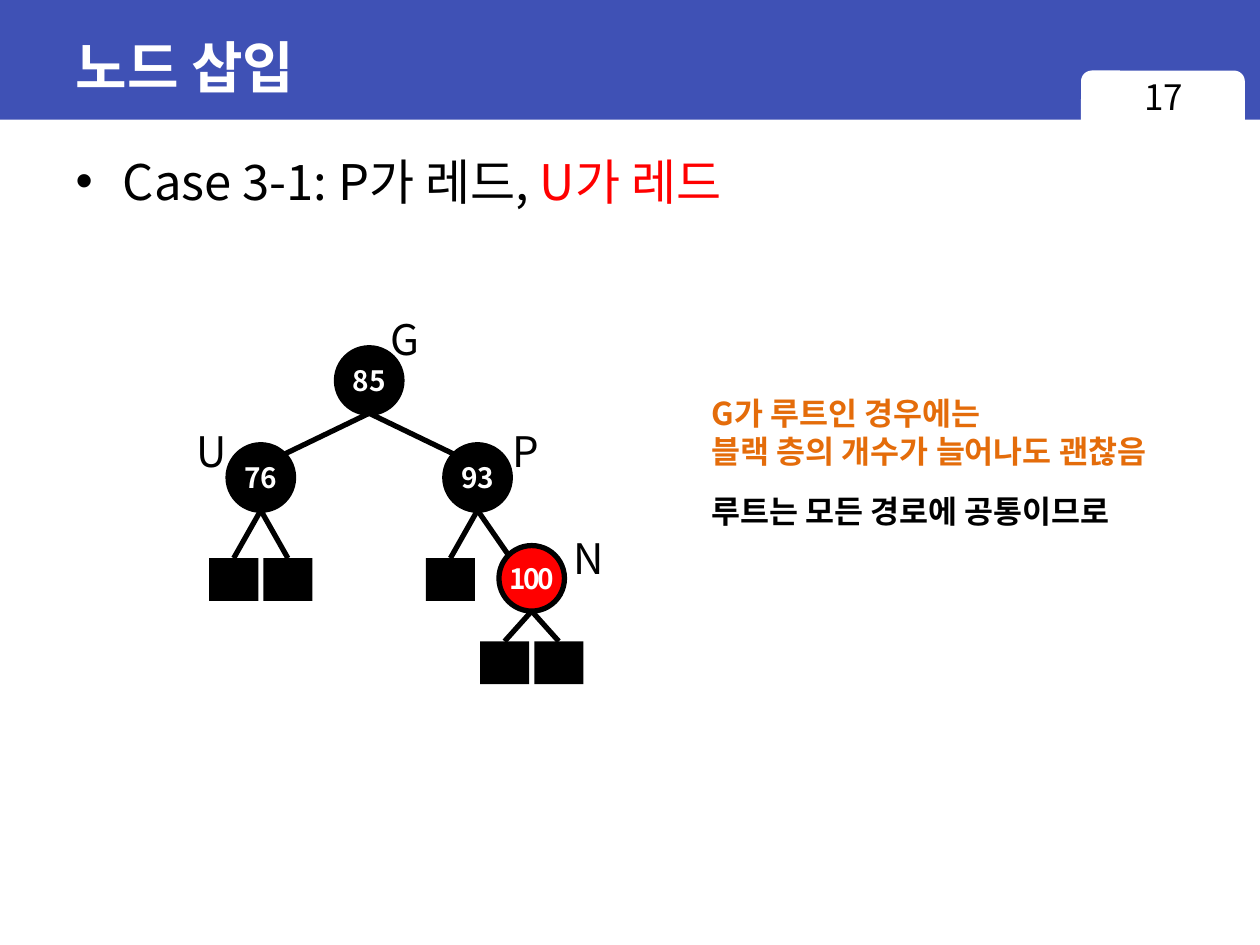
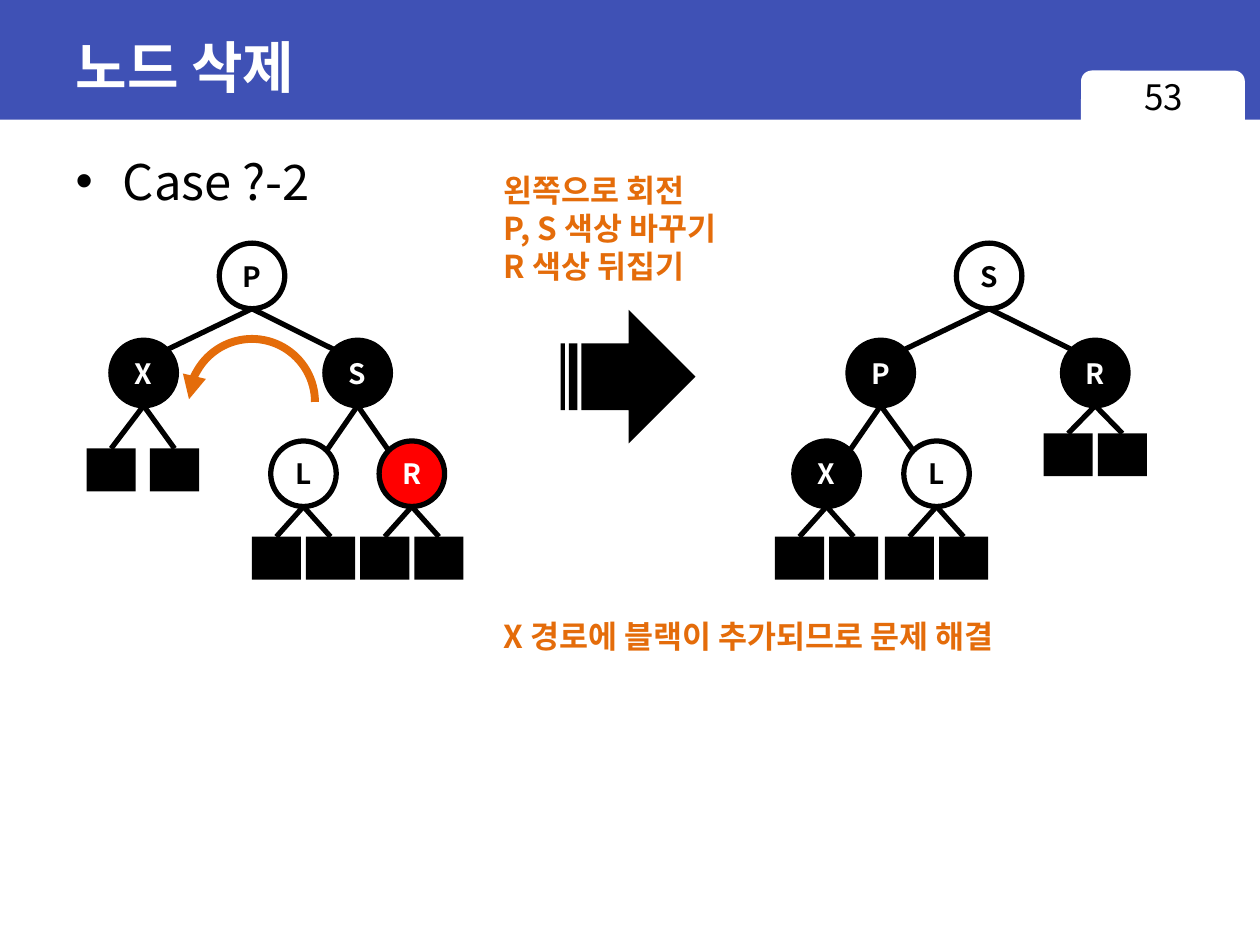
from dataclasses import dataclass

from lxml import etree
from pptx import Presentation
from pptx.dml.color import RGBColor
from pptx.enum.shapes import MSO_CONNECTOR, MSO_SHAPE
from pptx.enum.text import MSO_ANCHOR, MSO_AUTO_SIZE, PP_ALIGN
from pptx.oxml.ns import qn
from pptx.util import Inches, Pt

STRAIGHT = MSO_CONNECTOR.STRAIGHT
RECTANGLE, ROUNDED = MSO_SHAPE.RECTANGLE, MSO_SHAPE.ROUNDED_RECTANGLE
OVAL, ARC = MSO_SHAPE.OVAL, MSO_SHAPE.ARC
STRIPED_ARROW = MSO_SHAPE.STRIPED_RIGHT_ARROW
LEFT, CENTER = PP_ALIGN.LEFT, PP_ALIGN.CENTER
MIDDLE = MSO_ANCHOR.MIDDLE
FIT_SHAPE = MSO_AUTO_SIZE.SHAPE_TO_FIT_TEXT


@dataclass(frozen=True)
class Theme:
    band: RGBColor = RGBColor(0x3F, 0x51, 0xB5)
    white: RGBColor = RGBColor(255, 255, 255)
    black: RGBColor = RGBColor(0, 0, 0)
    red: RGBColor = RGBColor(255, 0, 0)
    accent: RGBColor = RGBColor(0xE4, 0x6C, 0x0A)
    title_font: str = "Arial"
    font: str = "Noto Sans CJK KR"
    title: int = 32
    body: int = 28
    tag: int = 24
    page: int = 20
    note: int = 18
    key: int = 16
    edge: float = 3
    rotation: float = 4.5


THEME = Theme()

# Tree grid, in inches
COLUMN = 0.43
LEVELS = (0.77, 0.8)
DIAMETER = 0.52
DIAGONAL = DIAMETER / 2 * 0.5 ** 0.5
LEAF_WIDTH, LEAF_HEIGHT = 0.39, 0.34


@dataclass
class Node:
    """A tree node; offset counts columns from its parent."""
    key: str
    fill: RGBColor = THEME.black
    offset: float = 0
    children: tuple = ()
    leaves: tuple = ()
    leaf_drop: float = 0.24
    tag: str = ""
    tag_shift: tuple = (0, 0)
    spacing: int = 0


def style(paragraph, size, color, bold=False, align=LEFT, font=THEME.font):
    paragraph.alignment = align
    paragraph.space_before = Pt(0)
    face = paragraph.font
    face.size, face.bold, face.name = Pt(size), bold, font
    face.color.rgb = color
    east_asian = etree.SubElement(face._element, qn("a:ea"))
    east_asian.set("typeface", THEME.font)


def add_shape(slide, kind, left, top, width, height, fill=None, line=None,
              line_width=THEME.edge):
    shape = slide.shapes.add_shape(kind, Inches(left), Inches(top),
                                   Inches(width), Inches(height))
    shape.shadow.inherit = False
    if fill is None:
        shape.fill.background()
    else:
        shape.fill.solid()
        shape.fill.fore_color.rgb = fill
    if line is None:
        shape.line.fill.background()
    else:
        shape.line.color.rgb = line
        shape.line.width = Pt(line_width)
    return shape


def add_text(slide, left, top, width, height, lines, size, color,
             bold=False, align=LEFT, wrap=False):
    box = slide.shapes.add_textbox(Inches(left), Inches(top),
                                   Inches(width), Inches(height))
    frame = box.text_frame
    frame.word_wrap = wrap
    if not wrap:
        frame.auto_size = FIT_SHAPE
    frame.text = "\n".join(lines)
    for paragraph in frame.paragraphs:
        style(paragraph, size, color, bold, align)


def add_note(slide, left, top, width, height, *lines, color=THEME.accent):
    add_text(slide, left, top, width, height, lines, THEME.note, color, True)


def add_edge(slide, start, end, leaf=None):
    edge = slide.shapes.add_connector(
        STRAIGHT, *(Inches(value) for value in (*start, *end)))
    if leaf is not None:
        edge.end_connect(leaf, 0)
    edge.line.color.rgb = THEME.black
    edge.line.width = Pt(THEME.edge)
    etree.SubElement(edge.element.spPr, qn("a:effectLst"))


def add_node(slide, node, x, top):
    circle = add_shape(slide, OVAL, x - DIAMETER / 2, top, DIAMETER, DIAMETER,
                       node.fill, THEME.black)
    frame = circle.text_frame
    frame.margin_left = frame.margin_right = 0
    frame.vertical_anchor = MIDDLE
    paragraph = frame.paragraphs[0]
    run = paragraph.add_run()
    run.text = node.key
    if node.spacing:
        run._r.get_or_add_rPr().set("spc", str(node.spacing))
    ink = THEME.black if node.fill == THEME.white else THEME.white
    style(paragraph, THEME.key, ink, True, CENTER)


def add_tree(slide, node, x, top, depth=0):
    """Draw a node centred on x, then its leaves and subtrees."""
    add_node(slide, node, x, top)
    bottom = (x, top + DIAMETER)
    for offset in node.leaves:
        leaf_x = x + offset * COLUMN
        leaf_top = bottom[1] + node.leaf_drop
        leaf = add_shape(slide, RECTANGLE, leaf_x - LEAF_WIDTH / 2, leaf_top,
                         LEAF_WIDTH, LEAF_HEIGHT, THEME.black)
        add_edge(slide, bottom, (leaf_x, leaf_top), leaf)
    for child in node.children:
        child_x = x + child.offset * COLUMN
        child_top = top + LEVELS[depth]
        add_tree(slide, child, child_x, child_top, depth + 1)
        # Edges meet a child at the diagonal facing its parent
        side = DIAGONAL if child.offset < 0 else -DIAGONAL
        add_edge(slide, bottom,
                 (child_x + side, child_top + DIAMETER / 2 - DIAGONAL))
    if node.tag:
        shift_x, shift_y = node.tag_shift
        add_text(slide, x + shift_x, top + shift_y, 0.44, 0.5, [node.tag],
                 THEME.tag, THEME.black)


def place(shape, left, top, width, height):
    shape.left, shape.top = Inches(left), Inches(top)
    shape.width, shape.height = Inches(width), Inches(height)


def prepare_layout(layout):
    """Drop the footers and set the places of title and list."""
    for placeholder in list(layout.placeholders):
        index = placeholder.placeholder_format.idx
        if index == 0:
            place(placeholder, 0.5, 0.11, 9, 0.83)
        elif index == 1:
            place(placeholder, 0.5, 1.15, 9.38, 6.14)
        else:
            placeholder.element.getparent().remove(placeholder.element)


def add_page_band(slide, layout):
    """Draw the band and number tab, and hand them to the layout."""
    band = add_shape(slide, RECTANGLE, 0, 0, 10, 0.95, THEME.band)
    number_tab = add_shape(slide, ROUNDED, 8.58, 0.56, 1.3, 0.51, THEME.white)
    for position, part in enumerate((band, number_tab), start=2):
        layout.shapes.element.insert(position, part.element)


def start_slide(deck, layout, title, number, *case_runs):
    slide = deck.slides.add_slide(layout)
    heading = slide.shapes.title.text_frame
    heading.text = title
    heading.vertical_anchor = MIDDLE
    style(heading.paragraphs[0], THEME.title, THEME.white, True,
          font=THEME.title_font)
    case = slide.placeholders[1].text_frame.paragraphs[0]
    style(case, THEME.body, THEME.black)
    for text, color in case_runs:
        run = case.add_run()
        run.text = text
        run.font.color.rgb = color
    add_text(slide, 8.58, 0.55, 1.31, 0.52, [number], THEME.page,
             THEME.black, align=CENTER, wrap=True)
    return slide


def add_insertion(slide):
    pair = (-0.5, 0.5)
    inserted = Node("100", THEME.red, 1, leaves=pair, tag="N",
                    tag_shift=(0.23, -0.15), spacing=-150)
    uncle = Node("76", offset=-2, leaves=pair, leaf_drop=0.38, tag="U",
                 tag_shift=(-0.61, -0.2))
    parent = Node("93", offset=2, children=(inserted,), leaves=(-0.5,),
                  leaf_drop=0.38, tag="P", tag_shift=(0.18, -0.2))
    grandparent = Node("85", children=(uncle, parent), tag="G",
                       tag_shift=(0.07, -0.32))
    add_tree(slide, grandparent, 2.93, 2.76)
    add_note(slide, 5.55, 3.08, 4.09, 0.71,
             "G가 루트인 경우에는", "블랙 층의 개수가 늘어나도 괜찮음")
    add_note(slide, 5.55, 3.86, 3.75, 0.4,
             "루트는 모든 경로에 공통이므로", color=THEME.black)


def add_rotation_arc(slide):
    arc = add_shape(slide, ARC, 1.5, 2.69, 1, 1, line=THEME.accent,
                    line_width=THEME.rotation)
    arc.adjustments[0], arc.adjustments[1] = 109.46, 0
    outline = arc.element.spPr.find(qn("a:ln"))
    etree.SubElement(outline, qn("a:headEnd")).set("type", "triangle")


def add_deletion(slide):
    pair = (-0.5, 0.5)
    # Before the rotation
    sibling = Node("S", offset=1.95, children=(
        Node("L", THEME.white, -1, leaves=pair),
        Node("R", THEME.red, 1, leaves=pair, spacing=-150)))
    before = Node("P", THEME.white, children=(
        Node("X", offset=-2, leaves=(-0.6, 0.57), leaf_drop=0.34), sibling))
    add_tree(slide, before, 2, 1.93)
    add_rotation_arc(slide)

    # After the rotation
    parent = Node("P", offset=-2, children=(
        Node("X", offset=-1, leaves=pair),
        Node("L", THEME.white, 1.03, leaves=pair)))
    after = Node("S", THEME.white, children=(
        parent, Node("R", offset=1.96, leaves=pair, leaf_drop=0.22)))
    add_tree(slide, after, 7.85, 1.93)

    add_shape(slide, STRIPED_ARROW, 4.45, 2.46, 1.07, 1.06, THEME.black)
    add_note(slide, 3.9, 1.31, 2.05, 1.01,
             "왼쪽으로 회전", "P, S 색상 바꾸기", "R 색상 뒤집기")
    add_note(slide, 3.9, 4.85, 4.6, 0.4,
             "X 경로에 블랙이 추가되므로 문제 해결")


def main():
    deck = Presentation()
    deck.slide_width, deck.slide_height = Inches(10), Inches(7.5)
    layout = deck.slide_layouts[1]
    prepare_layout(layout)

    insertion = start_slide(deck, layout, "노드 삽입", "17",
                            ("Case 3-1: P가 레드, ", THEME.black),
                            ("U가 레드", THEME.red))
    add_page_band(insertion, layout)
    add_insertion(insertion)

    deletion = start_slide(deck, layout, "노드 삭제", "53",
                           ("Case ?-2", THEME.black))
    add_deletion(deletion)
    deck.save("out.pptx")


if __name__ == "__main__":
    main()
